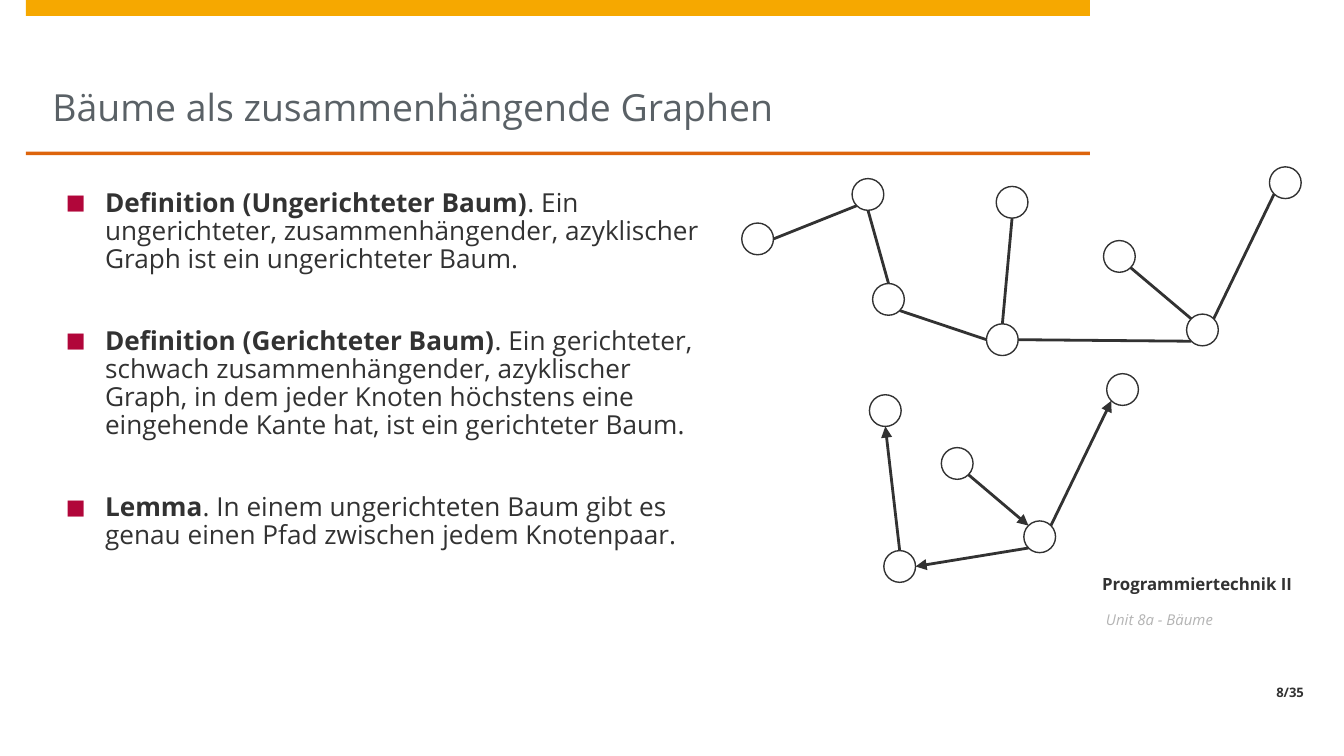
import math
from lxml import etree
from pptx import Presentation
from pptx.dml.color import RGBColor
from pptx.enum import shapes, text
from pptx.oxml import ns
from pptx.util import Pt

# Content
TITLE = "Bäume als zusammenhängende Graphen"
STATEMENTS = [
    ("Definition (Ungerichteter Baum)",
     ". Ein ungerichteter, zusammenhängender, azyklischer Graph ist ein ungerichteter Baum."),
    ("Definition (Gerichteter Baum)",
     ". Ein gerichteter, schwach zusammenhängender, azyklischer Graph, in dem jeder Knoten "
     "höchstens eine eingehende Kante hat, ist ein gerichteter Baum."),
    ("Lemma",
     ". In einem ungerichteten Baum gibt es genau einen Pfad zwischen jedem Knotenpaar."),
]

# Node centres; an edge is (start, side of start, end, side of end)
UNDIRECTED = {
    "nodes": {"a": (405.9, 128), "b": (465, 104.2), "c": (476, 160.4), "d": (537, 182),
              "e": (542.2, 108.4), "f": (599.7, 137.4), "g": (644.2, 176.8), "h": (688.6, 97.9)},
    "edges": [("a", "E", "b", "SW"), ("c", "N", "b", "S"), ("d", "W", "c", "SE"),
              ("d", "N", "e", "S"), ("g", "SW", "d", "E"), ("f", "SE", "g", "NW"),
              ("g", "NE", "h", "SW")],
    "arrows": False,
}
DIRECTED = {
    "nodes": {"p": (474.3, 220), "q": (512.8, 248.3), "r": (601.4, 208.7),
              "s": (557, 287.6), "t": (482, 303.5)},
    "edges": [("s", "NE", "r", "SW"), ("q", "SE", "s", "NW"),
              ("s", "SW", "t", "E"), ("t", "N", "p", "S")],
    "arrows": True,
}

THEME = {
    "font": "Open Sans",
    "ink": "323232", "title": "5A6166", "muted": "B4B4B4",
    "bullet": "B1063A", "bar": "F6A800", "rule": "DD640C",
    "title_size": 20, "body_size": 14, "course_size": 9, "unit_size": 8, "page_size": 7,
}
# Text, top, height, anchor, alignment, left inset, size, colour, bold, italic
FOOTERS = [
    ("Programmiertechnik II", 280.8, 41, text.MSO_ANCHOR.BOTTOM, text.PP_ALIGN.CENTER, 0,
     "course_size", "ink", True, False),
    ("Unit 8a - Bäume", 326.9, 37.4, text.MSO_ANCHOR.TOP, text.PP_ALIGN.LEFT, 8.6,
     "unit_size", "muted", False, True),
    ("8/35", 364.3, 14.4, text.MSO_ANCHOR.BOTTOM, text.PP_ALIGN.RIGHT, 8.6,
     "page_size", "ink", True, False),
]
DIAMETER = 17
SIDES = ["E", "SE", "S", "SW", "W", "NW", "N", "NE"]  # clockwise, 45 degrees apart


def colour(name):
    return RGBColor.from_string(THEME[name])


def add_run(paragraph, words, size, ink, bold=False, italic=False):
    run = paragraph.add_run()
    run.text = words
    font = run.font
    font.name, font.size = THEME["font"], Pt(THEME[size])
    font.bold, font.italic = bold, italic
    font.color.rgb = colour(ink)


def place(shape, left, top, width, height):
    shape.left, shape.top, shape.width, shape.height = map(Pt, (left, top, width, height))


def set_frame(frame, anchor, insets):
    frame.word_wrap = True
    frame.auto_size = text.MSO_AUTO_SIZE.NONE
    frame.vertical_anchor = anchor
    (frame.margin_left, frame.margin_top,
     frame.margin_right, frame.margin_bottom) = map(Pt, insets)


def add_bullet(paragraph):
    props = paragraph._p.get_or_add_pPr()
    props.set("marL", str(Pt(21)))
    props.set("indent", str(Pt(-21)))
    tint = etree.SubElement(props, ns.qn("a:buClr"))
    etree.SubElement(tint, ns.qn("a:srgbClr"), val=THEME["bullet"])
    etree.SubElement(props, ns.qn("a:buSzPct"), val="80000")
    etree.SubElement(props, ns.qn("a:buFont"), typeface=THEME["font"])
    etree.SubElement(props, ns.qn("a:buChar"), char="■")


def add_band(slide, top, height, fill):
    band = slide.shapes.add_shape(shapes.MSO_SHAPE.RECTANGLE,
                                  Pt(13.9), Pt(top), Pt(570), Pt(height))
    band.shadow.inherit = False
    band.fill.solid()
    band.fill.fore_color.rgb = colour(fill)
    band.line.fill.background()


def rim_point(centre, side):
    angle = math.radians(45 * SIDES.index(side))
    radius = DIAMETER / 2
    return (Pt(centre[0] + radius * math.cos(angle)),
            Pt(centre[1] + radius * math.sin(angle)))


def draw_graph(slide, graph):
    nodes = graph["nodes"]
    for x, y in nodes.values():
        node = slide.shapes.add_shape(
            shapes.MSO_SHAPE.OVAL, Pt(x - DIAMETER / 2), Pt(y - DIAMETER / 2),
            Pt(DIAMETER), Pt(DIAMETER))
        node.shadow.inherit = False
        node.fill.background()
        node.line.color.rgb = colour("ink")
        node.line.width = Pt(0.75)
    for start, start_side, end, end_side in graph["edges"]:
        edge = slide.shapes.add_connector(
            shapes.MSO_CONNECTOR.STRAIGHT,
            *rim_point(nodes[start], start_side), *rim_point(nodes[end], end_side))
        edge.line.color.rgb = colour("ink")
        edge.line.width = Pt(1.5)
        if graph["arrows"]:
            etree.SubElement(edge.line._get_or_add_ln(), ns.qn("a:tailEnd"), type="triangle")
        etree.SubElement(edge._element.spPr, ns.qn("a:effectLst"))


def main():
    deck = Presentation()
    deck.slide_width, deck.slide_height = Pt(720), Pt(405)
    slide = deck.slides.add_slide(deck.slide_layouts[1])

    # Bands and footer
    add_band(slide, 0, 8.6, "bar")
    add_band(slide, 81.3, 1.8, "rule")
    for words, top, height, anchor, align, inset, size, ink, bold, italic in FOOTERS:
        footer = slide.shapes.add_textbox(Pt(583.9), Pt(top), Pt(121.7), Pt(height))
        set_frame(footer.text_frame, anchor, (inset, 0, 7.2, 3.6))
        line = footer.text_frame.paragraphs[0]
        line.alignment = align
        add_run(line, words, size, ink, bold, italic)

    # Title
    title = slide.shapes.title
    place(title, 28.1, 8.6, 541.4, 72.7)
    set_frame(title.text_frame, text.MSO_ANCHOR.BOTTOM, (0, 0, 0, 12))
    heading = title.text_frame.paragraphs[0]
    heading.alignment = text.PP_ALIGN.LEFT
    add_run(heading, TITLE, "title_size", "title")

    # Definitions and lemma
    body = slide.placeholders[1]
    place(body, 28.1, 97.9, 362.2, 292.3)
    frame = body.text_frame
    set_frame(frame, text.MSO_ANCHOR.TOP, (7.2, 3.6, 7.2, 3.6))
    for index, (term, statement) in enumerate(STATEMENTS):
        item = frame.add_paragraph() if index else frame.paragraphs[0]
        item.line_spacing = 0.9
        item.space_before, item.space_after = Pt(0), Pt(28.5)
        add_bullet(item)
        add_run(item, term, "body_size", "ink", bold=True)
        add_run(item, statement, "body_size", "ink")

    # Example trees
    for graph in (UNDIRECTED, DIRECTED):
        draw_graph(slide, graph)

    deck.save("out.pptx")


if __name__ == "__main__":
    main()
